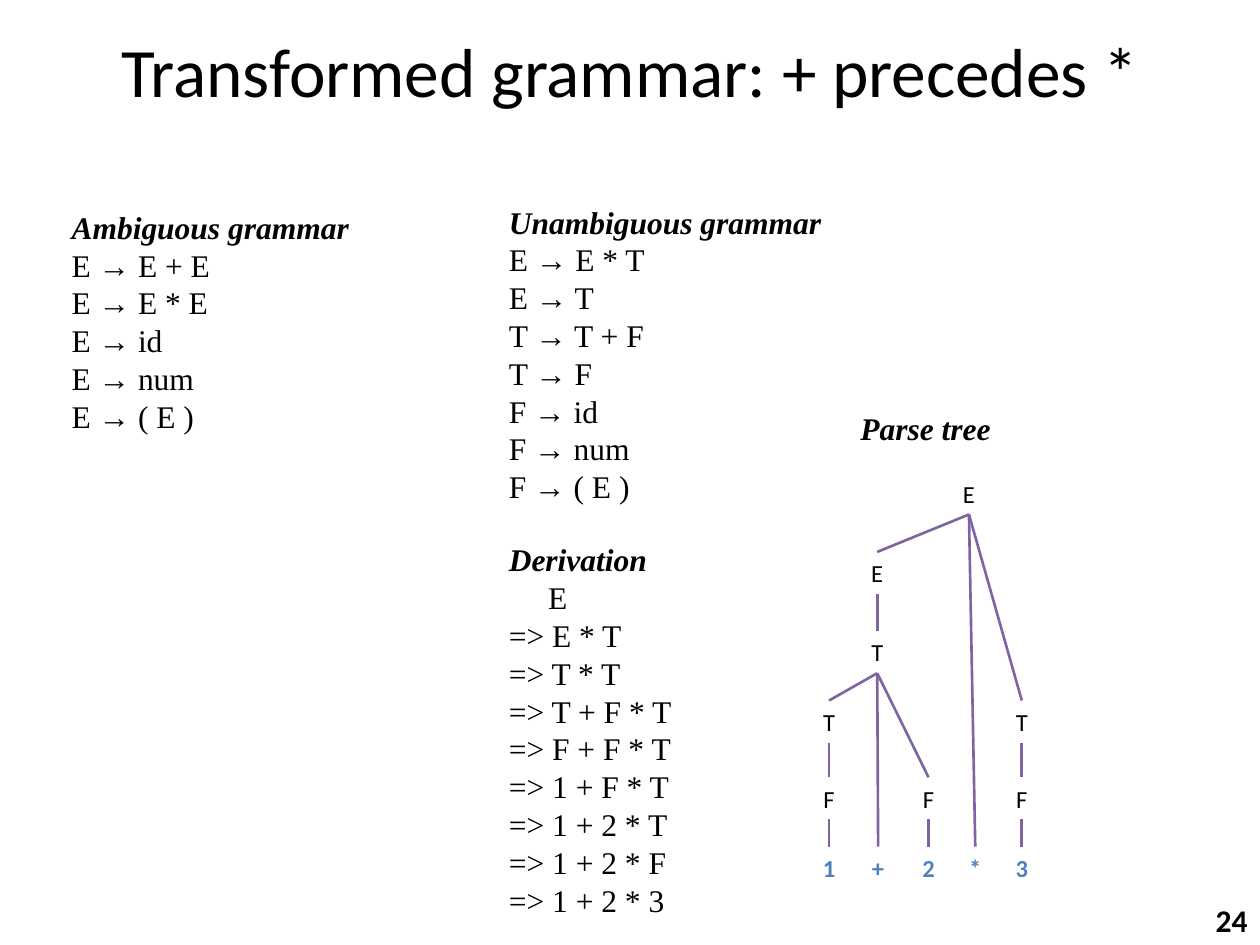
from pptx import Presentation
from pptx.dml.color import RGBColor
from pptx.enum.shapes import MSO_CONNECTOR
from pptx.enum.text import MSO_ANCHOR, PP_ALIGN
from pptx.oxml.ns import qn
from pptx.util import Pt

STRAIGHT = MSO_CONNECTOR.STRAIGHT
LEFT, CENTER, RIGHT = PP_ALIGN.LEFT, PP_ALIGN.CENTER, PP_ALIGN.RIGHT
MIDDLE = MSO_ANCHOR.MIDDLE
BOTTOM_SITE, TOP_SITE = 2, 0

TITLE = "Transformed grammar: + precedes *"
PAGE = "24"

# heading, lines, (left, top, width, height)
BLOCKS = [
    ("Ambiguous grammar",
     ["E → E + E", "E → E * E", "E → id", "E → num", "E → ( E )"],
     (33.84, 115.2, 187.2, 138.24)),
    ("Unambiguous grammar",
     ["E → E * T", "E → T", "T → T + F", "T → F", "F → id", "F → num", "F → ( E )"],
     (283.68, 112.32, 215.28, 180)),
    ("Derivation",
     ["E", "=> E * T", "=> T * T", "=> T + F * T", "=> F + F * T", "=> 1 + F * T",
      "=> 1 + 2 * T", "=> 1 + 2 * F", "=> 1 + 2 * 3"],
     (283.68, 305.28, 150, 225.36)),
    ("Parse tree", [], (484.56, 230.4, 90, 28.8)),
]
DERIVATION_START = ("Derivation", 0)
START_INDENT = 22.5

# Parse tree: name -> (symbol, centre x, level, parent)
LEVEL_TOPS = [270, 315.4, 360.7, 400.3, 444.2, 483.8]
NODE_W, NODE_H = 21.6, 24
LEAF_LEVEL = len(LEVEL_TOPS) - 1
TREE = {
    "root": ("E", 553.7, 0, None),
    "left E": ("E", 501.3, 1, "root"),
    "sum": ("T", 501.3, 2, "left E"),
    "first T": ("T", 473.8, 3, "sum"),
    "last T": ("T", 583.9, 3, "root"),
    "first F": ("F", 473.8, 4, "first T"),
    "second F": ("F", 530.6, 4, "sum"),
    "last F": ("F", 583.9, 4, "last T"),
    "one": ("1", 473.8, 5, "first F"),
    "plus": ("+", 501.8, 5, "sum"),
    "two": ("2", 530.6, 5, "second F"),
    "times": ("*", 557.3, 5, "root"),
    "three": ("3", 583.9, 5, "last F"),
}

THEME = {
    "sans": "Calibri", "serif": "Times New Roman",
    "ink": RGBColor(0x00, 0x00, 0x00),
    "leaf": RGBColor(0x4F, 0x81, 0xBD),
    "branch": RGBColor(0x80, 0x64, 0xA2),
    "title": 39.6, "text": 18, "node": 14, "line": 1.5,
}


def write(p, text, size=THEME["text"], font=THEME["sans"], color=THEME["ink"],
          bold=False, italic=False, align=LEFT, indent=0):
    p.alignment = align
    if indent:
        p._p.get_or_add_pPr().set("marL", str(Pt(indent)))
    r = p.add_run()
    r.text = text
    f = r.font
    f.size, f.name, f.bold, f.italic = Pt(size), font, bold, italic
    f.color.rgb = color


def add_box(s, left, top, width, height, wrap=True):
    sp = s.shapes.add_textbox(Pt(left), Pt(top), Pt(width), Pt(height))
    sp.text_frame.word_wrap = wrap
    return sp


def add_block(s, heading, lines, box):
    tf = add_box(s, *box).text_frame
    write(tf.paragraphs[0], heading, font=THEME["serif"], bold=True, italic=True)
    for i, line in enumerate(lines):
        indent = START_INDENT if (heading, i) == DERIVATION_START else 0
        write(tf.add_paragraph(), line, font=THEME["serif"], indent=indent)


def add_branch(s, parent, child):
    c = s.shapes.add_connector(STRAIGHT, 0, 0, 0, 0)
    c.begin_connect(parent, BOTTOM_SITE)
    c.end_connect(child, TOP_SITE)
    c.line.color.rgb = THEME["branch"]
    c.line.width = Pt(THEME["line"])
    sp_pr = c._element.spPr
    sp_pr.append(sp_pr.makeelement(qn("a:effectLst"), {}))


def add_tree(s):
    nodes = {}
    for name, (symbol, x, level, parent) in TREE.items():
        leaf = level == LEAF_LEVEL
        sp = add_box(s, x - NODE_W / 2, LEVEL_TOPS[level], NODE_W, NODE_H, wrap=False)
        write(sp.text_frame.paragraphs[0], symbol, size=THEME["node"], bold=leaf,
              color=THEME["leaf" if leaf else "ink"], align=CENTER)
        nodes[name] = sp
        if parent:
            add_branch(s, nodes[parent], sp)


def main():
    prs = Presentation()
    prs.slide_width, prs.slide_height = Pt(720), Pt(540)
    s = prs.slides.add_slide(prs.slide_layouts[5])

    title = s.shapes.title
    title.left, title.top, title.width, title.height = Pt(36), Pt(9.36), Pt(648), Pt(61.2)
    title.text_frame.vertical_anchor = MIDDLE
    write(title.text_frame.paragraphs[0], TITLE, size=THEME["title"], align=CENTER)

    for block in BLOCKS:
        add_block(s, *block)
    add_tree(s)

    page = add_box(s, 683.28, 511.2, 36.72, 28.8)
    write(page.text_frame.paragraphs[0], PAGE, bold=True, align=RIGHT)
    prs.save("out.pptx")


if __name__ == "__main__":
    main()
